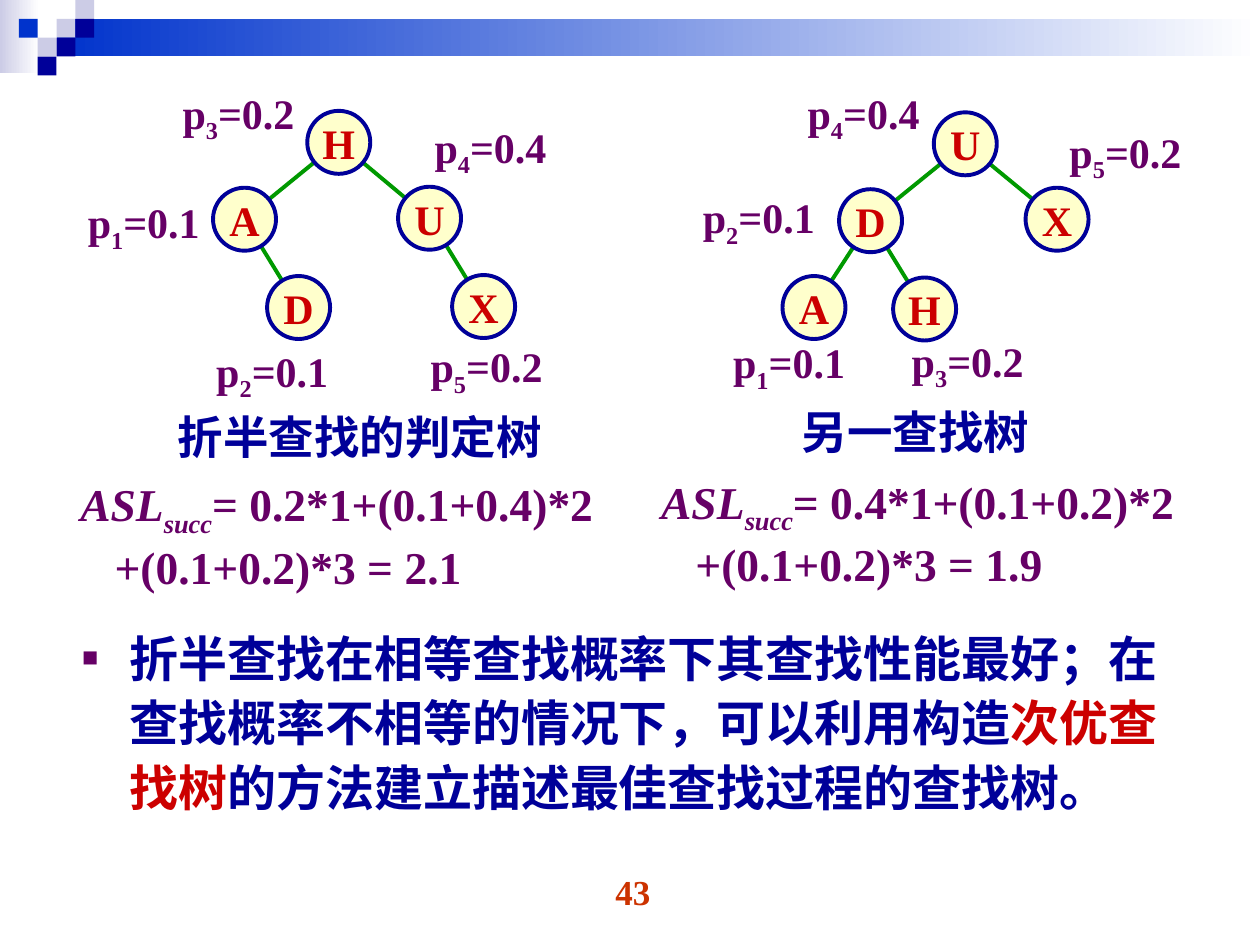
import math
from dataclasses import dataclass

import pptx
import pptx.dml.color
import pptx.enum.dml
import pptx.enum.shapes
import pptx.enum.text
import pptx.oxml
import pptx.oxml.ns
import pptx.util

Cm = pptx.util.Cm
Pt = pptx.util.Pt
Kind = pptx.enum.shapes.MSO_SHAPE
Align = pptx.enum.text.PP_ALIGN
Anchor = pptx.enum.text.MSO_ANCHOR
Fit = pptx.enum.text.MSO_AUTO_SIZE


@dataclass(frozen=True)
class Theme:
    serif: str = "Times New Roman"
    sans: str = "Arial"
    navy: str = "000099"
    blue: str = "0033CC"
    pale: str = "CCCCE6"
    white: str = "FFFFFF"
    cream: str = "FFFFCC"
    green: str = "009900"
    plum: str = "660066"
    red: str = "CC0000"
    rust: str = "CC3300"
    note: int = 28
    head: int = 26
    label: int = 24
    page: int = 20
    line: float = 2.25


T = Theme()
NODE = 1.27  # node diameter, cm
TRIM = 0.4   # gap between a node's centre and the end of its edge, cm


def rgb(code):
    return pptx.dml.color.RGBColor.from_string(code)


def style(run, size, color, face=T.serif, italic=False, sub=False):
    font = run.font
    font.name, font.size, font.bold, font.italic = face, Pt(size), True, italic
    font.color.rgb = rgb(color)
    if sub:
        run._r.get_or_add_rPr().set("baseline", "-25000")


def add_runs(para, parts, size, color):
    """Fill a paragraph with (text, style options) parts."""
    for text, opts in parts:
        run = para.add_run()
        run.text = text
        style(run, **{"size": size, "color": color, **opts})


def add_text(slide, x, y, w, h, wrap=False):
    frame = slide.shapes.add_textbox(Cm(x), Cm(y), Cm(w), Cm(h)).text_frame
    frame.word_wrap = wrap
    frame.auto_size = Fit.NONE if wrap else Fit.SHAPE_TO_FIT_TEXT
    return frame


def add_block(slide, x, y, w, h, color, fade=None):
    block = slide.shapes.add_shape(Kind.RECTANGLE, Cm(x), Cm(y), Cm(w), Cm(h))
    block.shadow.inherit = False
    block.line.fill.background()
    if fade:
        block.fill.gradient()
        block.fill.gradient_angle = 0
        for stop, code in zip(block.fill.gradient_stops, (color, fade)):
            stop.color.rgb = rgb(code)
    else:
        block.fill.solid()
        block.fill.fore_color.rgb = rgb(color)


def add_band(slide, x, y, w):
    """Fading bar with a checker of squares at its left end."""
    unit = 0.38
    add_block(slide, x, y, 0.79, 1.47, T.pale, T.white)
    add_block(slide, x + 3 * unit, y + unit, w - 3 * unit, 2 * unit, T.blue, T.white)
    cells = [(3, 1, T.pale), (4, 0, T.pale), (4, 1, T.navy), (2, 2, T.pale),
             (1, 1, T.blue), (3, 2, T.navy), (2, 3, T.navy)]
    for col, row, color in cells:
        add_block(slide, x + col * unit, y + row * unit, unit, unit, color)


def add_edge(slide, start, end):
    (x1, y1), (x2, y2) = start, end
    part = TRIM / math.dist(start, end)
    dx, dy = (x2 - x1) * part, (y2 - y1) * part
    edge = slide.shapes.add_connector(
        pptx.enum.shapes.MSO_CONNECTOR.STRAIGHT,
        Cm(x1 + dx), Cm(y1 + dy), Cm(x2 - dx), Cm(y2 - dy))
    edge.line.color.rgb = rgb(T.green)
    edge.line.width = Pt(T.line)
    edge._element.spPr.append(pptx.oxml.parse_xml(
        "<a:effectLst %s/>" % pptx.oxml.ns.nsdecls("a")))


def add_node(slide, x, y, name):
    node = slide.shapes.add_shape(
        Kind.OVAL, Cm(x - NODE / 2), Cm(y - NODE / 2), Cm(NODE), Cm(NODE))
    node.shadow.inherit = False
    node.fill.solid()
    node.fill.fore_color.rgb = rgb(T.cream)
    node.line.color.rgb = rgb(T.navy)
    node.line.width = Pt(T.line)
    frame = node.text_frame
    frame.word_wrap = False
    frame.vertical_anchor = Anchor.MIDDLE
    frame.text = name
    frame.paragraphs[0].alignment = Align.CENTER
    style(frame.paragraphs[0].runs[0], T.label, T.red)


def add_tree(slide, x, y, nodes, edges, odds, title, sums):
    """Search tree with odds, a title and the average length below."""
    spots = {name: (x + dx, y + dy) for name, (dx, dy) in nodes.items()}
    for start, end in edges:
        add_edge(slide, spots[start], spots[end])
    for name, spot in spots.items():
        add_node(slide, *spot, name)
    for index, value, dx, dy in odds:
        frame = add_text(slide, x + dx, y + dy, 2.77, 1.42)
        add_runs(frame.paragraphs[0],
                 [("p", {}), (index, {"sub": True}), ("=" + value, {})],
                 T.label, T.plum)

    text, dx, dy, w = title
    frame = add_text(slide, x + dx, y + dy, w, 1.37)
    frame.text = text
    frame.paragraphs[0].alignment = Align.CENTER
    style(frame.paragraphs[0].runs[0], T.head, T.navy, T.sans)

    first, second, dy = sums
    frame = add_text(slide, x, y + dy, 10.85, 2.62)
    add_runs(frame.paragraphs[0],
             [("ASL", {"italic": True}), ("succ", {"italic": True, "sub": True}),
              (first, {})], T.head, T.plum)
    para = frame.add_paragraph()
    para.text = second
    para._p.get_or_add_pPr().set("marL", str(Cm(0.69)))
    style(para.runs[0], T.head, T.plum)


def add_note(body, x, y, w, h, parts):
    body.left, body.top, body.width, body.height = Cm(x), Cm(y), Cm(w), Cm(h)
    frame = body.text_frame
    frame.auto_size = Fit.NONE
    frame.vertical_anchor = Anchor.TOP
    para = frame.paragraphs[0]
    para.line_spacing, para.space_before = 1.1, Pt(0)
    props = para._p.get_or_add_pPr()
    props.set("marL", str(Cm(0.96)))
    props.set("indent", str(-Cm(0.96)))
    spaces = pptx.oxml.ns.nsdecls("a")
    for mark in (f'<a:buClr {spaces}><a:srgbClr val="{T.plum}"/></a:buClr>',
                 f'<a:buSzPct {spaces} val="55000"/>',
                 f'<a:buChar {spaces} char="■"/>'):
        props.append(pptx.oxml.parse_xml(mark))
    add_runs(para, parts, T.note, T.navy)


def add_page(slide, x, y, w, h, number):
    frame = add_text(slide, x, y, w, h, wrap=True)
    frame.text = number
    frame.paragraphs[0].alignment = Align.CENTER
    style(frame.paragraphs[0].runs[0], T.page, T.rust)


def main():
    deck = pptx.Presentation()
    deck.slide_width, deck.slide_height = Cm(25.4), Cm(19.05)
    slide = deck.slides.add_slide(deck.slide_layouts[1])
    title = slide.shapes.title
    title._element.getparent().remove(title._element)

    add_band(slide, 0, 0, 25.4)
    add_page(slide, 9.8, 17.42, 5.92, 1.32, "43")
    add_note(slide.placeholders[1], 1.4, 12.42, 22.91, 5.11, [
        ("折半查找在相等查找概率下其查找性能最好；在查找概率不相等的情况下，可以利用构造", {}),
        ("次优查找树", {"color": T.red}),
        ("的方法建立描述最佳查找过程的查找树。", {})])
    add_tree(
        slide, 1.37, 1.63,
        {"H": (5.46, 1.24), "A": (3.56, 2.79), "U": (7.29, 2.77),
         "D": (4.65, 4.57), "X": (8.38, 4.55)},
        ["HA", "HU", "UX", "AD"],
        [("1", "0.1", 0.15, 2.21), ("2", "0.1", 2.74, 5.21), ("3", "0.2", 2.06, 0),
         ("4", "0.4", 7.14, 0.69), ("5", "0.2", 7.06, 5.11)],
        ("折半查找的判定树", 1.96, 6.5, 7.85),
        ("= 0.2*1+(0.1+0.4)*2", "+(0.1+0.2)*3 = 2.1", 7.85))
    add_tree(
        slide, 13.08, 1.63,
        {"U": (6.38, 1.27), "D": (4.47, 2.82), "X": (8.23, 2.79),
         "A": (3.33, 4.57), "H": (5.56, 4.6)},
        ["UD", "UX", "DA", "DH"],
        [("1", "0.1", 1.45, 5.03), ("2", "0.1", 0.84, 2.11), ("3", "0.2", 5.05, 5),
         ("4", "0.4", 2.95, 0), ("5", "0.2", 8.23, 0.79)],
        ("另一查找树", 2.82, 6.4, 5.11),
        ("= 0.4*1+(0.1+0.2)*2", "+(0.1+0.2)*3 = 1.9", 7.8))
    deck.save("out.pptx")


if __name__ == "__main__":
    main()
